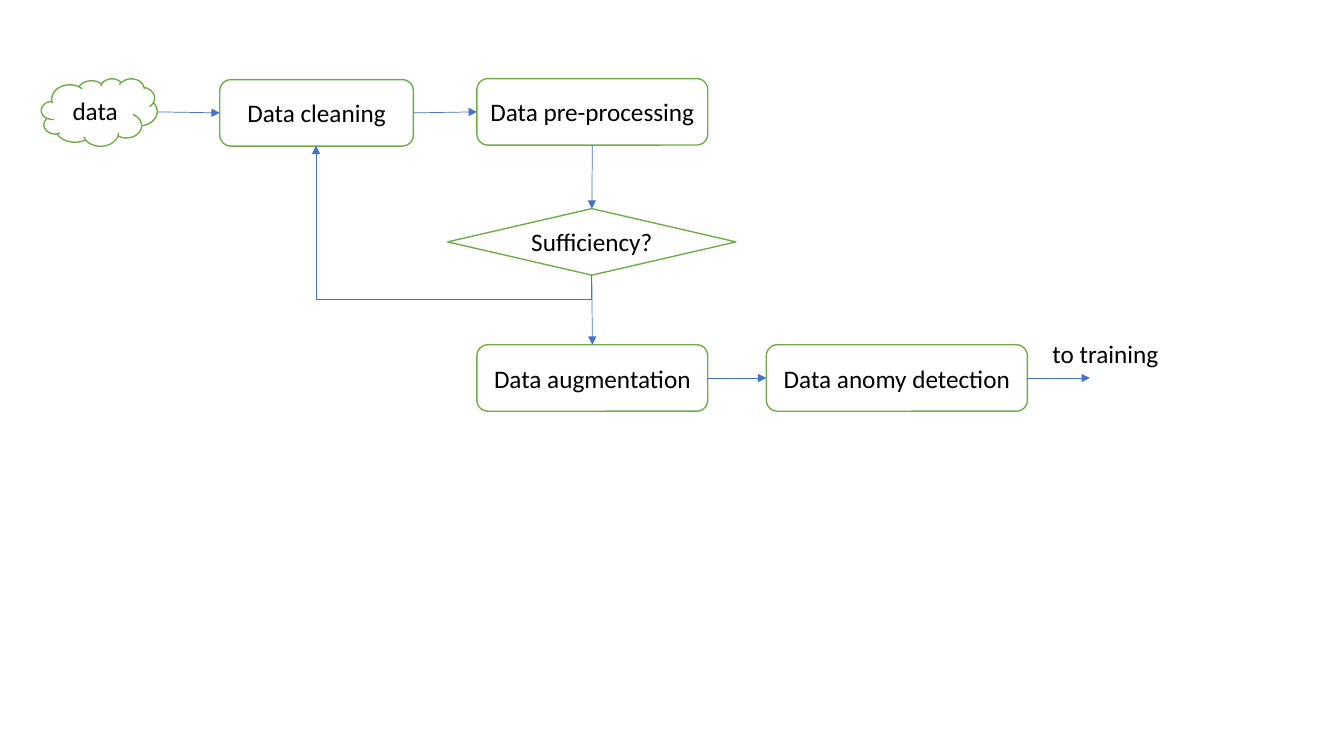
from lxml.etree import SubElement
from pptx import Presentation
from pptx.dml.color import RGBColor
from pptx.enum.shapes import MSO_CONNECTOR, MSO_SHAPE
from pptx.enum.text import MSO_ANCHOR, MSO_AUTO_SIZE, PP_ALIGN
from pptx.oxml.ns import qn
from pptx.util import Pt

PX = 9144
COLORS = {"fill": "FFFFFF", "outline": "70AD47", "arrow": "4472C4", "text": "000000"}
TOP, LEFT, BOTTOM, RIGHT = range(4)
ROW_H = 66


def px(*lengths):
    return [n * PX for n in lengths]


def color(name):
    return RGBColor.from_string(COLORS[name])


def write(sp, text, align):
    p = sp.text_frame.paragraphs[0]
    p.text = text
    p.alignment = align
    p.font.size = Pt(18)
    p.font.name = "Calibri"
    p.font.color.rgb = color("text")


def add_node(s, kind, text, x, y, w, h=ROW_H):
    sp = s.shapes.add_shape(kind, *px(x, y, w, h))
    sp.shadow.inherit = False
    sp.fill.solid()
    sp.fill.fore_color.rgb = color("fill")
    sp.line.color.rgb = color("outline")
    sp.line.width = Pt(1)
    sp.text_frame.word_wrap = True
    sp.text_frame.vertical_anchor = MSO_ANCHOR.MIDDLE
    write(sp, text, PP_ALIGN.CENTER)
    return sp


def add_arrow(s, x1, y1, x2, y2, kind=MSO_CONNECTOR.STRAIGHT):
    cxn = s.shapes.add_connector(kind, *px(x1, y1, x2, y2))
    cxn.line.color.rgb = color("arrow")
    cxn.line.width = Pt(0.5)
    SubElement(cxn.line._get_or_add_ln(), qn("a:tailEnd"), type="triangle")
    SubElement(cxn._element.spPr, qn("a:effectLst"))
    return cxn


def link(s, start, start_site, end, end_site):
    cxn = add_arrow(s, 0, 0, 0, 0)
    cxn.begin_connect(start, start_site)
    cxn.end_connect(end, end_site)


def add_return_arrow(s, x1, y1, x2, y2, drop):
    run, rise = x1 - x2, y1 - y2
    left = (x1 + x2 - rise) // 2
    top = (y1 + y2 - run) // 2
    cxn = add_arrow(s, left + rise, top, left, top + run, MSO_CONNECTOR.ELBOW)
    cxn._element.spPr.find(qn("a:xfrm")).set("rot", "5400000")
    guides = cxn._element.spPr.find(qn("a:prstGeom")).find(qn("a:avLst"))
    SubElement(guides, qn("a:gd"), name="adj1", fmla=f"val {-100000 * drop // rise}")


def add_label(s, text, x, y, w, h):
    sp = s.shapes.add_textbox(*px(x, y, w, h))
    sp.text_frame.word_wrap = False
    sp.text_frame.auto_size = MSO_AUTO_SIZE.SHAPE_TO_FIT_TEXT
    write(sp, text, PP_ALIGN.LEFT)


def add_flowchart(s, x, y):
    box = MSO_SHAPE.ROUNDED_RECTANGLE
    lower = y + 264
    middle = lower + ROW_H // 2
    cleaning = add_node(s, box, "Data cleaning", x + 177, y + 1, 192)
    preprocessing = add_node(s, box, "Data pre-processing", x + 432, y, 229)
    augmentation = add_node(s, box, "Data augmentation", x + 432, lower, 229)
    sufficiency = add_node(s, MSO_SHAPE.DIAMOND, "Sufficiency?", x + 403, y + 129, 286)
    detection = add_node(s, box, "Data anomy detection", x + 719, lower, 259)

    link(s, cleaning, RIGHT, preprocessing, LEFT)
    link(s, preprocessing, BOTTOM, sufficiency, TOP)
    link(s, sufficiency, BOTTOM, augmentation, TOP)
    link(s, augmentation, RIGHT, detection, LEFT)
    add_return_arrow(s, x + 546, y + 195, x + 273, y + 67, 25)
    add_arrow(s, x + 115, y + 33, x + 177, y + 34)
    add_arrow(s, x + 978, middle, x + 1040, middle)

    add_node(s, MSO_SHAPE.CLOUD, "data", x, y, 115, 67)
    add_label(s, "to training", x + 993, lower - 11, 128, 40)


def main():
    prs = Presentation()
    prs.slide_width, prs.slide_height = px(1333, 750)
    s = prs.slides.add_slide(prs.slide_layouts[6])
    add_flowchart(s, 41, 78)
    prs.save("out.pptx")


if __name__ == "__main__":
    main()
